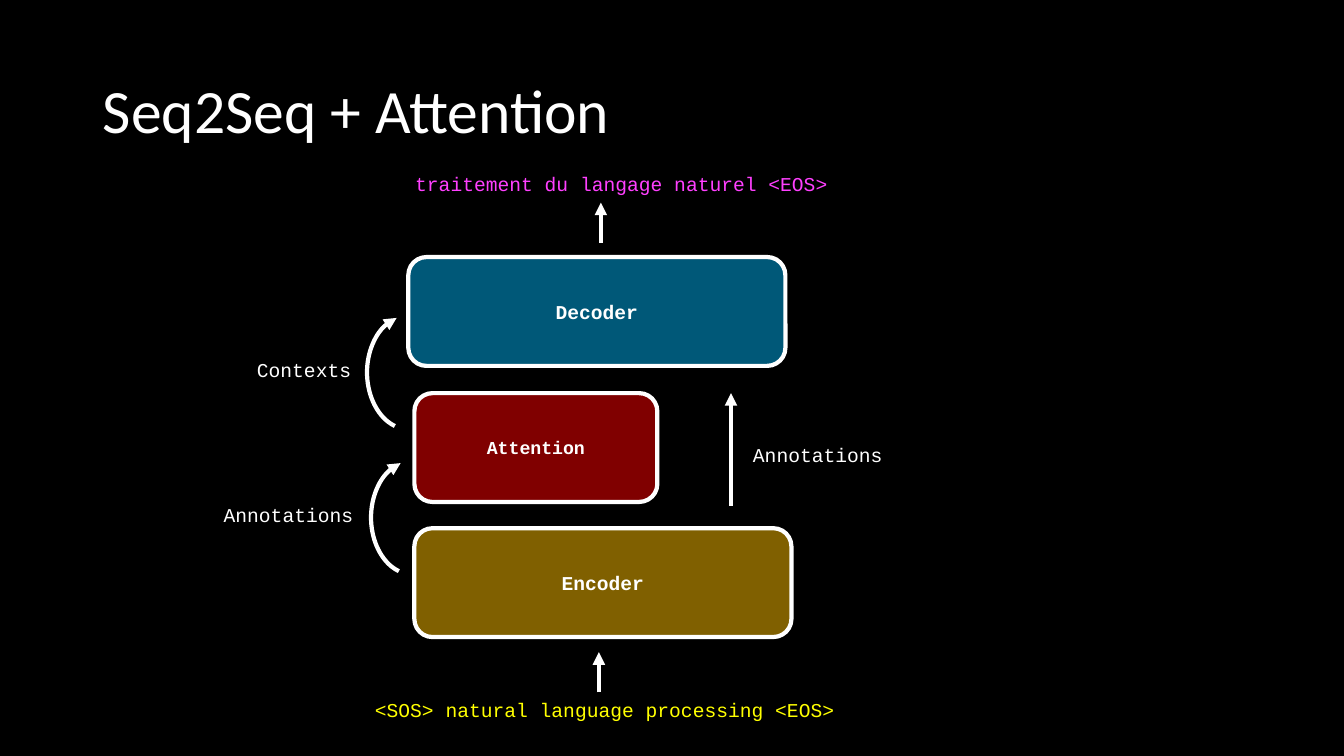
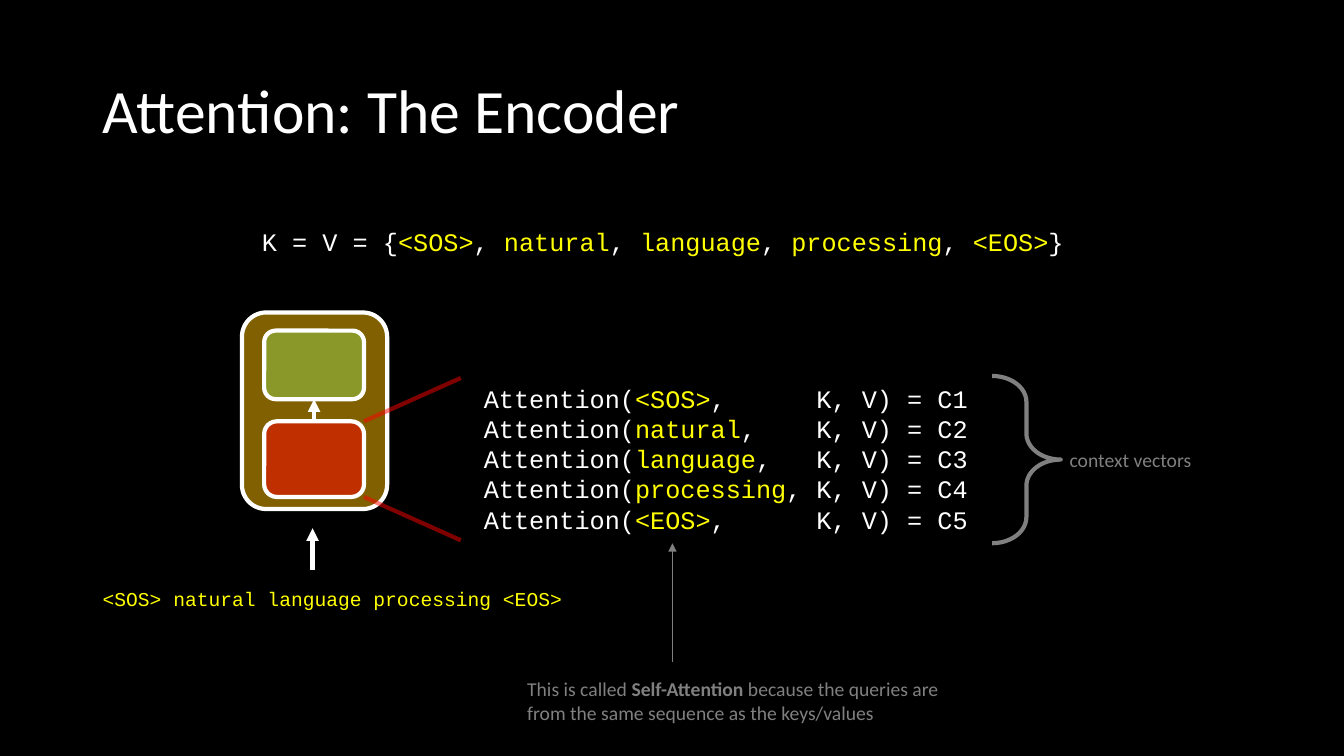
import pptx
import pptx.util
import pptx.dml.color
import pptx.enum.shapes
import pptx.enum.text
import pptx.oxml
import pptx.oxml.ns

RGB = pptx.dml.color.RGBColor
SHAPE = pptx.enum.shapes.MSO_SHAPE
ALIGN = pptx.enum.text.PP_ALIGN
ANCHOR = pptx.enum.text.MSO_ANCHOR

# Shared colours
BLACK = RGB(0x00, 0x00, 0x00)
WHITE = RGB(0xFF, 0xFF, 0xFF)
YELLOW = RGB(0xFF, 0xFF, 0x00)
PINK = RGB(0xFF, 0x40, 0xFF)
GREY = RGB(0x80, 0x80, 0x80)
AMBER = RGB(0xFF, 0xC0, 0x00)
BLUE = RGB(0x00, 0xB0, 0xF0)
RED = RGB(0xFF, 0x00, 0x00)
GREEN = RGB(0x92, 0xD0, 0x50)

# Shared text formats
TITLE = {"name": "Calibri", "size": pptx.util.Pt(44)}
NOTE = {"name": "Calibri", "size": pptx.util.Pt(14)}
CODE = {"name": "Courier New", "size": pptx.util.Pt(14)}
FORMULA = {"name": "Courier New", "size": pptx.util.Pt(18)}
BOX_LABEL = CODE | {"bold": True}
SMALL_BOX_LABEL = BOX_LABEL | {"size": pptx.util.Pt(13)}

# Shared content
TOKENS = ["<SOS>", "natural", "language", "processing", "<EOS>"]
SENTENCE = " ".join(TOKENS)

EMU_PER_PX = 9144  # 100 px to the inch
HEAVY, THIN = 3, 1  # line widths in points


def px(*lengths):
    return [pptx.util.Emu(length * EMU_PER_PX) for length in lengths]


def add_xml(parent, tag, **attributes):
    child = pptx.oxml.parse_xml(f"<a:{tag} {pptx.oxml.ns.nsdecls('a')}/>")
    for key, value in attributes.items():
        child.set(key, str(value))
    parent.append(child)
    return child


def halve_opacity(element):
    for colour in element.iter(pptx.oxml.ns.qn("a:srgbClr")):
        add_xml(colour, "alpha", val=50000)


def add_run(paragraph, text, colour, style):
    run = paragraph.add_run()
    run.text = text
    for key, value in style.items():
        setattr(run.font, key, value)
    run.font.color.rgb = colour


def add_title_slide(prs, title):
    slide = prs.slides.add_slide(prs.slide_layouts[5])
    holder = slide.shapes.title
    holder.left, holder.top, holder.width, holder.height = px(92, 40, 1150, 145)
    holder.text_frame.vertical_anchor = ANCHOR.MIDDLE
    paragraph = holder.text_frame.paragraphs[0]
    paragraph.alignment = ALIGN.LEFT
    paragraph.line_spacing = 0.9
    add_run(paragraph, title, WHITE, TITLE)
    return slide


def add_text(slide, frame, lines, style, tab=None):
    """Each line is a list of (text, colour) or (text, colour, extra format)."""
    text_frame = slide.shapes.add_textbox(*px(*frame)).text_frame
    text_frame.word_wrap = True
    text_frame.auto_size = pptx.enum.text.MSO_AUTO_SIZE.SHAPE_TO_FIT_TEXT
    for number, line in enumerate(lines):
        paragraph = text_frame.add_paragraph() if number else text_frame.paragraphs[0]
        if tab:
            stops = add_xml(paragraph._p.get_or_add_pPr(), "tabLst")
            add_xml(stops, "tab", pos=px(tab)[0], algn="l")
        for text, colour, *extra in line:
            add_run(paragraph, text, colour, style | (extra[0] if extra else {}))


def add_outline(slide, preset, frame, colour=WHITE):
    shape = slide.shapes.add_shape(preset, *px(*frame))
    shape.shadow.inherit = False
    shape.fill.background()
    shape.line.color.rgb = colour
    shape.line.width = pptx.util.Pt(HEAVY)
    return shape


def add_box(slide, frame, colour, label=None, style=BOX_LABEL):
    box = add_outline(slide, SHAPE.ROUNDED_RECTANGLE, frame)
    box.fill.solid()
    box.fill.fore_color.rgb = colour
    halve_opacity(box.fill._xPr.find(pptx.oxml.ns.qn("a:solidFill")))
    if label:
        box.text_frame.vertical_anchor = ANCHOR.MIDDLE
        paragraph = box.text_frame.paragraphs[0]
        paragraph.alignment = ALIGN.CENTER
        add_run(paragraph, label, WHITE, style)
    return box


def add_arrowhead(line):
    add_xml(line._get_or_add_ln(), "tailEnd", type="triangle")


def add_line(slide, ends, colour=WHITE, width=HEAVY, arrow=True):
    connector = slide.shapes.add_connector(
        pptx.enum.shapes.MSO_CONNECTOR.STRAIGHT, *px(*ends))
    connector.line.color.rgb = colour
    connector.line.width = pptx.util.Pt(width)
    if arrow:
        add_arrowhead(connector.line)
    add_xml(connector._element.spPr, "effectLst")
    return connector


def add_curved_arrow(slide, frame):
    arc = add_outline(slide, SHAPE.ARC, frame)
    arc.rotation = 90
    arc.adjustments[0], arc.adjustments[1] = 8.79, 100.4
    add_arrowhead(arc.line)


def build_overview(prs):
    slide = add_title_slide(prs, "Seq2Seq + Attention")

    # Model blocks
    add_box(slide, (411, 524, 374, 108), AMBER, "Encoder")
    add_box(slide, (411, 390, 241, 108), RED, "Attention", SMALL_BOX_LABEL)
    add_box(slide, (405, 255, 374, 108), BLUE, "Decoder")

    # Flow between the blocks
    for ends in ((594, 687, 594, 647), (596, 241, 596, 201), (725, 502, 725, 390)):
        add_line(slide, ends)
    for left, top in ((353, 472), (349, 328)):
        add_curved_arrow(slide, (left, top, 113, 83))

    # Input, output and flow labels
    for frame, text, colour in (
        ((362, 687, 513, 34), SENTENCE, YELLOW),
        ((402, 166, 433, 34), "traitement du langage naturel <EOS>", PINK),
        ((212, 494, 166, 34), "Annotations", WHITE),
        ((737, 434, 166, 34), "Annotations", WHITE),
        ((245, 350, 166, 34), "Contexts", WHITE),
    ):
        add_text(slide, frame, [[(text, colour)]], CODE)


def build_encoder(prs):
    slide = add_title_slide(prs, "Attention: The Encoder")

    # Encoder with its two layers
    add_box(slide, (240, 310, 144, 195), AMBER)
    attention = add_box(slide, (262, 418, 99, 75), RED)
    feed_forward = add_box(slide, (262, 328, 99, 68), GREEN)
    layer_arrow = add_line(slide, (311, 418, 311, 396))
    layer_arrow.begin_connect(attention, 0)
    layer_arrow.end_connect(feed_forward, 2)
    add_line(slide, (310, 565, 310, 524))
    add_text(slide, (92, 577, 513, 34), [[(SENTENCE, YELLOW)]], CODE)

    # Zoom lines from the attention layer
    for start, end in ((418, 375), (493, 536)):
        zoom = add_line(slide, (361, start, 457, end), RED, arrow=False)
        halve_opacity(zoom.line._get_or_add_ln())

    # Keys and values
    key_runs = [("K = V = {", WHITE)]
    for token in TOKENS:
        key_runs += [(token, YELLOW), (", ", WHITE)]
    key_runs[-1] = ("}", WHITE)
    add_text(slide, (250, 220, 834, 40), [key_runs], FORMULA)

    # One attention call per token
    calls = [
        [("Attention(", WHITE), (token, YELLOW), (f",\tK, V) = C{number}", WHITE)]
        for number, token in enumerate(TOKENS, 1)
    ]
    add_text(slide, (470, 375, 513, 162), calls, FORMULA, tab=330)

    # Context vectors
    brace = add_outline(slide, SHAPE.RIGHT_BRACE, (984, 373, 68, 166), GREY)
    brace.adjustments[0], brace.adjustments[1] = 0.38, 0.5
    add_text(slide, (1051, 439, 220, 34), [[("context vectors", GREY)]], NOTE)

    # Self-attention remark
    add_line(slide, (667, 657, 667, 539), GREY, THIN)
    remark = [
        ("This is called ", GREY),
        ("Self-Attention", GREY, {"bold": True}),
        (" because the queries are from the same sequence as the keys/values", GREY),
    ]
    add_text(slide, (513, 667, 428, 57), [remark], NOTE)


def main():
    prs = pptx.Presentation()
    prs.slide_width, prs.slide_height = px(1333, 750)
    backdrop = prs.slide_master.background.fill
    backdrop.solid()
    backdrop.fore_color.rgb = BLACK
    build_overview(prs)
    build_encoder(prs)
    prs.save("out.pptx")


if __name__ == "__main__":
    main()
